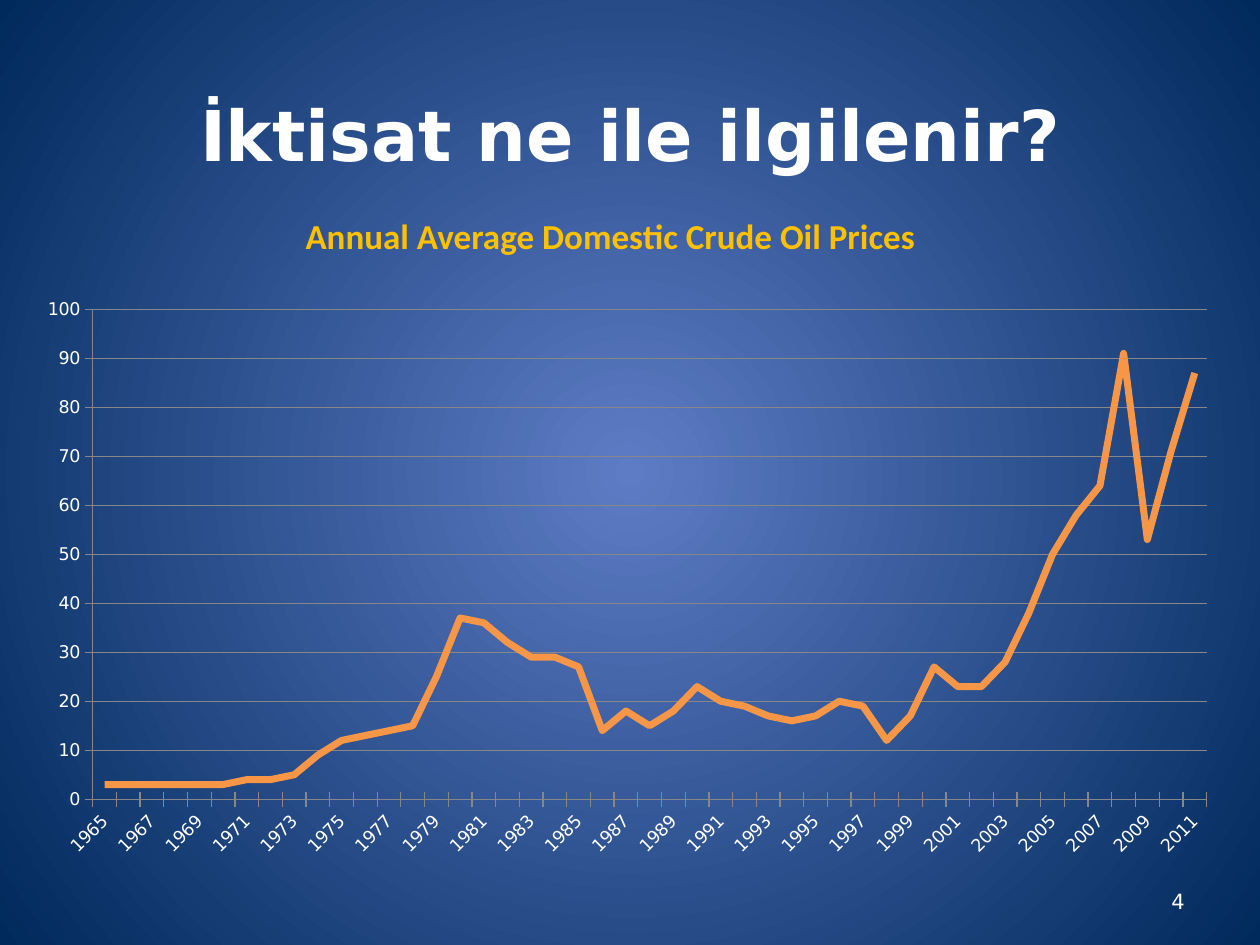
from dataclasses import dataclass

from lxml import etree
from pptx import Presentation
from pptx import util as u
from pptx.chart.data import CategoryChartData
from pptx.dml.color import RGBColor
from pptx.enum import chart as ch, text
from pptx.oxml import parse_xml
from pptx.oxml.ns import nsdecls, qn


@dataclass(frozen=True)
class Theme:
    center: str = "5E7CC5"
    edge: str = "00295C"
    white: str = "FFFFFF"
    accent: str = "FFC000"
    line: str = "F79646"
    grid: str = "878787"
    body_font: str = "DejaVu Sans"
    heading_font: str = "Calibri"
    title_size: int = 40
    heading_size: int = 20
    number_size: int = 12
    chart_size: int = 10


FIRST_YEAR = 1965
PRICES = [3, 3, 3, 3, 3, 3, 4, 4, 5, 9, 12, 13, 14, 15, 25, 37,
          36, 32, 29, 29, 27, 14, 18, 15, 18, 23, 20, 19, 17, 16, 17, 20,
          19, 12, 17, 27, 23, 23, 28, 38, 50, 58, 64, 91, 53, 71, 87]
PLAIN_TABLE = "{2D5ABB26-0587-4C30-8999-92F81FD0307C}"


def inches(*lengths):
    return [u.Inches(length) for length in lengths]


class SlideBuilder:
    def __init__(self, slide, theme):
        self.slide = slide
        self.theme = theme

    def format_font(self, font, size, color, name=None, bold=False):
        values = {"name": name or self.theme.body_font,
                  "size": u.Pt(size), "bold": bold}
        for key, value in values.items():
            setattr(font, key, value)
        font.color.rgb = RGBColor.from_string(color)

    def set_text(self, frame, words, align, **style):
        frame.word_wrap = True
        frame.vertical_anchor = text.MSO_ANCHOR.MIDDLE
        paragraph = frame.paragraphs[0]
        paragraph.alignment = align
        run = paragraph.add_run()
        run.text = words
        self.format_font(run.font, **style)

    def background(self):
        fill = self.slide.background.fill
        fill.gradient()
        colors = (self.theme.center, self.theme.edge)
        for stop, color, position in zip(fill.gradient_stops, colors, (0, 1)):
            stop.color.rgb = RGBColor.from_string(color)
            stop.position = position
        # Turn the linear gradient into a circular one
        gradient = self.slide.element.find(".//" + qn("a:gradFill"))
        circle = parse_xml(
            f'<a:path {nsdecls("a")} path="circle"><a:fillToRect '
            'l="50000" t="50000" r="50000" b="50000"/></a:path>')
        gradient.replace(gradient.find(qn("a:lin")), circle)

    def title(self, words, box):
        title = self.slide.shapes.title
        for key, value in zip(("left", "top", "width", "height"), inches(*box)):
            setattr(title, key, value)
        self.set_text(title.text_frame, words, text.PP_ALIGN.CENTER, bold=True,
                      size=self.theme.title_size, color=self.theme.white)

    def page_number(self, words, box):
        number = self.slide.shapes.add_textbox(*inches(*box))
        self.set_text(number.text_frame, words, text.PP_ALIGN.RIGHT,
                      size=self.theme.number_size, color=self.theme.white)

    def heading_table(self, words, box):
        table = self.slide.shapes.add_table(1, 1, *inches(*box)).table
        table.first_row = table.horz_banding = False
        table._tbl.tblPr.find(qn("a:tableStyleId")).text = PLAIN_TABLE
        cell = table.cell(0, 0)
        cell.fill.background()
        for side in ("left", "top", "right", "bottom"):
            setattr(cell, f"margin_{side}", 0)
        self.set_text(cell.text_frame, words, text.PP_ALIGN.CENTER, bold=True,
                      size=self.theme.heading_size, color=self.theme.accent,
                      name=self.theme.heading_font)
        cell.vertical_anchor = text.MSO_ANCHOR.MIDDLE

    def stroke(self, line, color, width):
        line.color.rgb = RGBColor.from_string(color)
        line.width = u.Pt(width)

    def line_chart(self, categories, values, box, plot):
        data = CategoryChartData()
        data.categories = categories
        data.add_series("Series 1", values)
        chart = self.slide.shapes.add_chart(
            ch.XL_CHART_TYPE.LINE, *inches(*box), data).chart
        chart.has_legend = chart.has_title = False
        self.format_font(chart.font, self.theme.chart_size, self.theme.white)
        chart.plots[0].vary_by_categories = False
        prices = chart.plots[0].series[0]
        prices.smooth = False
        self.stroke(prices.format.line, self.theme.line, 4)

        # Axes and gridlines
        years, dollars = chart.category_axis, chart.value_axis
        for axis in (years, dollars):
            axis.major_tick_mark = ch.XL_TICK_MARK.CROSS
            self.format_font(axis.tick_labels.font, self.theme.chart_size,
                             self.theme.white)
            self.stroke(axis.format.line, self.theme.grid, 0.75)
        for key, value in {"minimum_scale": 0, "maximum_scale": 100,
                           "major_unit": 10, "has_major_gridlines": True}.items():
            setattr(dollars, key, value)
        self.stroke(dollars.major_gridlines.format.line, self.theme.grid, 0.75)

        # Every second year, slanted
        axis_xml = years._element
        axis_xml.find(".//" + qn("a:bodyPr")).set("rot", "-2700000")
        skip = etree.Element(qn("c:tickLblSkip"), val="2")
        axis_xml.find(qn("c:noMultiLvlLbl")).addprevious(skip)
        self.place_plot(chart, plot)

    def place_plot(self, chart, plot):
        area = chart._chartSpace.find(".//" + qn("c:plotArea"))
        for old in area.findall(qn("c:layout")):
            area.remove(old)
        layout = etree.Element(qn("c:layout"))
        manual = etree.SubElement(layout, qn("c:manualLayout"))
        settings = {"layoutTarget": "inner", "xMode": "edge", "yMode": "edge",
                    **dict(zip("xywh", plot))}
        for tag, value in settings.items():
            etree.SubElement(manual, qn(f"c:{tag}"), val=str(value))
        area.insert(0, layout)


def main():
    deck = Presentation()
    deck.slide_width, deck.slide_height = inches(10, 7.5)
    title_only = deck.slide_layouts[5]
    builder = SlideBuilder(deck.slides.add_slide(title_only), Theme())

    builder.background()
    builder.title("İktisat ne ile ilgilenir?", (0.75, 0.55, 8.5, 1.02))
    builder.page_number("4", (7.17, 6.95, 2.33, 0.4))
    builder.heading_table("Annual Average Domestic Crude Oil Prices",
                          (2.11, 1.48, 5.47, 0.81))
    years = [str(FIRST_YEAR + i) for i in range(len(PRICES))]
    builder.line_chart(years, PRICES, (0.16, 2.27, 9.61, 4.63),
                       plot=(0.06, 0.04, 0.92, 0.84))
    deck.save("out.pptx")


if __name__ == "__main__":
    main()
